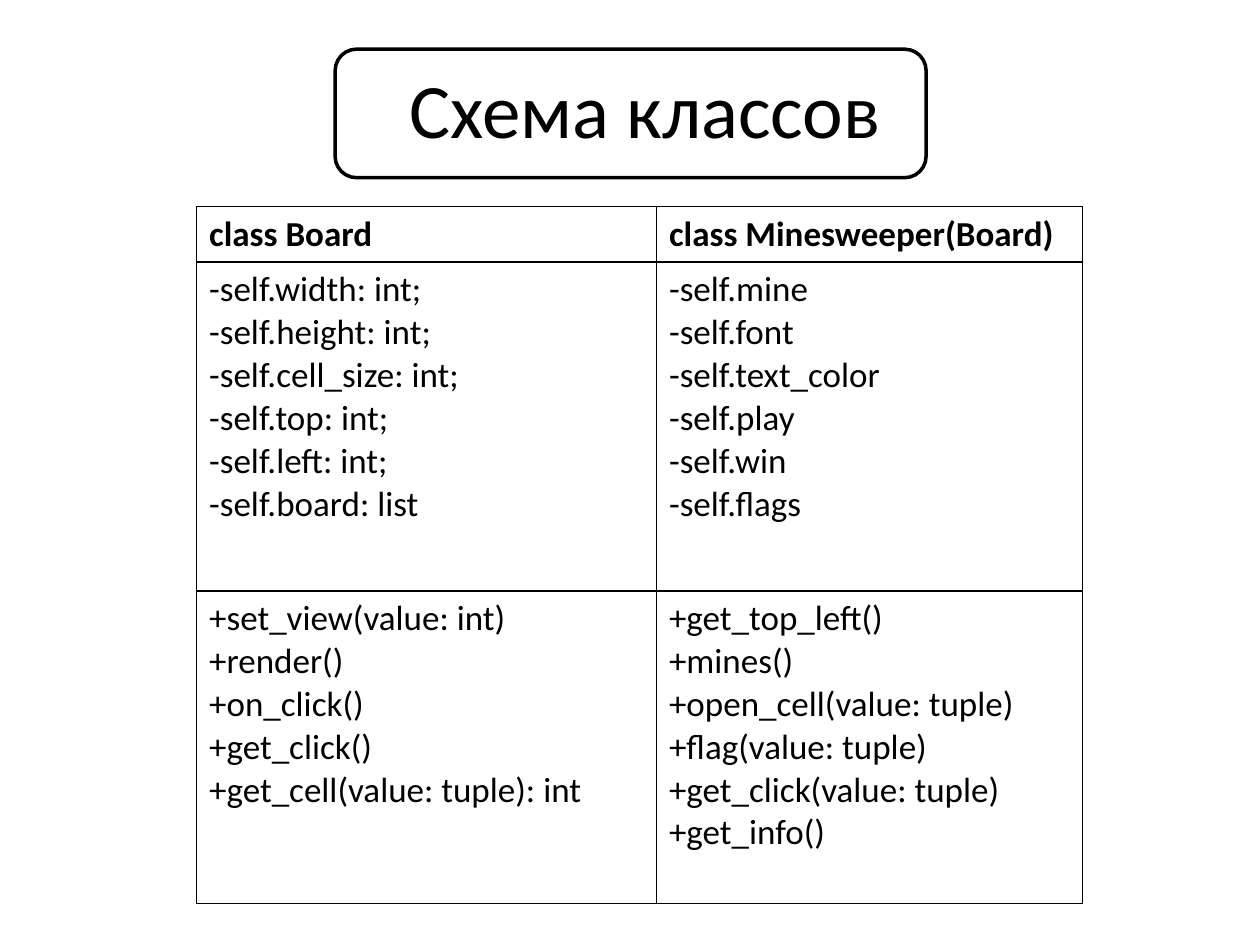
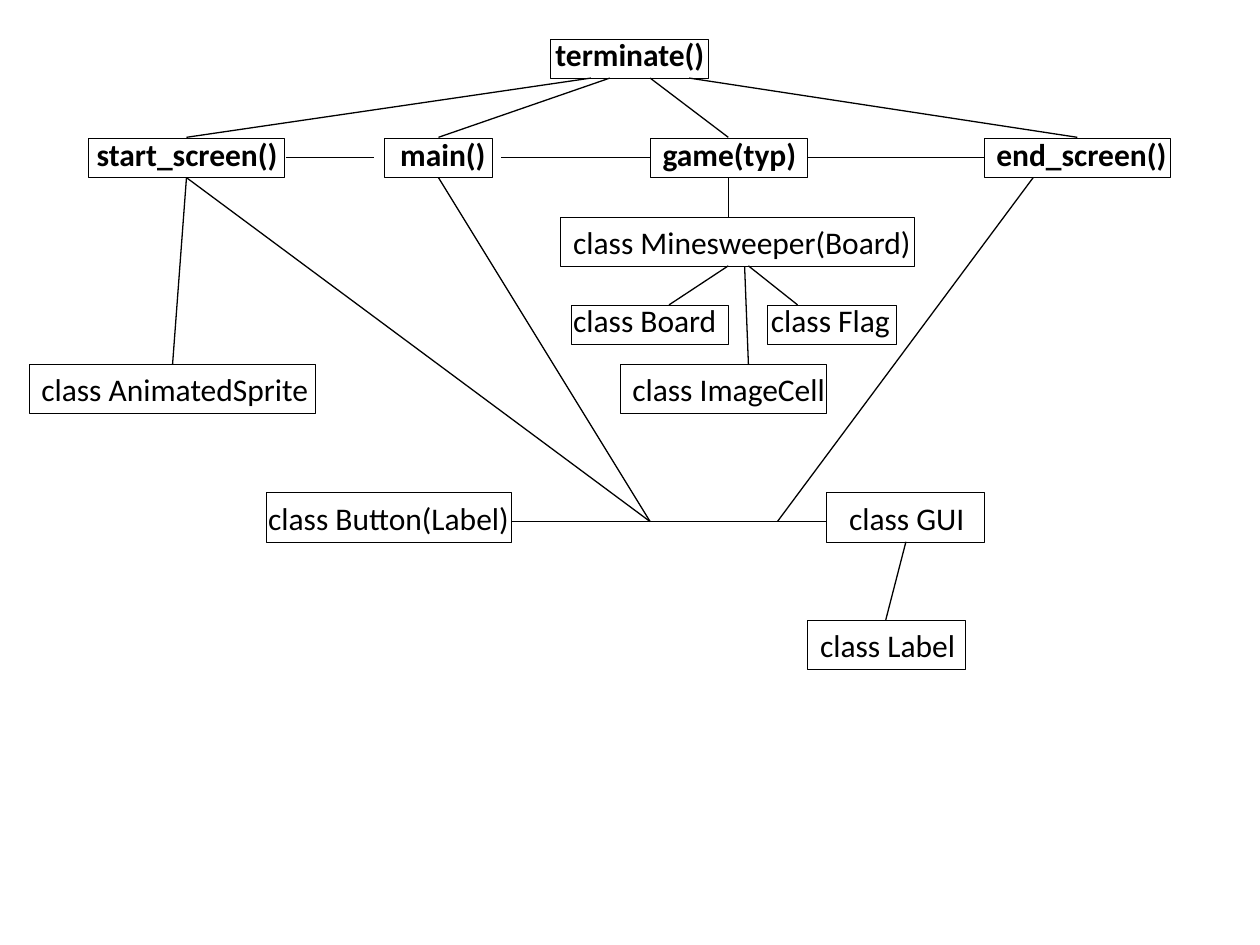
from lxml import etree
from pptx import Presentation
from pptx.dml.color import RGBColor
from pptx.enum.shapes import MSO_CONNECTOR, MSO_SHAPE
from pptx.enum.text import MSO_ANCHOR, MSO_AUTO_SIZE, PP_ALIGN
from pptx.oxml.ns import qn
from pptx.util import Inches, Pt

BLACK = RGBColor(0, 0, 0)
WHITE = RGBColor(255, 255, 255)
FONT = "Calibri"
LEFT, CENTER = PP_ALIGN.LEFT, PP_ALIGN.CENTER
MIDDLE = MSO_ANCHOR.MIDDLE
GROW = MSO_AUTO_SIZE.SHAPE_TO_FIT_TEXT
STRAIGHT = MSO_CONNECTOR.STRAIGHT
RECT, ROUND = MSO_SHAPE.RECTANGLE, MSO_SHAPE.ROUNDED_RECTANGLE

deck = Presentation()
deck.slide_width, deck.slide_height = Inches(10), Inches(7.5)
blank = deck.slide_layouts[6]


def write(frame, text, size, bold=False, align=LEFT):
    frame.text = text
    for para in frame.paragraphs:
        para.alignment = align
        para.font.name = FONT
        para.font.size = Pt(size)
        para.font.bold = bold
        para.font.color.rgb = BLACK


def outline(slide, kind, place, weight):
    shape = slide.shapes.add_shape(kind, *map(Inches, place))
    shape.shadow.inherit = False
    shape.fill.background()
    shape.line.color.rgb = BLACK
    shape.line.width = Pt(weight)
    return shape


slide = deck.slides.add_slide(blank)
badge = outline(slide, ROUND, (2.66, 0.39, 4.69, 1.02), 2)
badge.fill.solid()
badge.fill.fore_color.rgb = WHITE
title = slide.shapes.add_textbox(*map(Inches, (0.62, 0.23, 9, 1.25))).text_frame
title.word_wrap = True
title.vertical_anchor = MIDDLE
write(title, "Схема классов", 44, align=CENTER)

rows = [
    ("class Board", "class Minesweeper(Board)"),
    ("-self.width: int;\n-self.height: int;\n-self.cell_size: int;\n"
     "-self.top: int;\n-self.left: int;\n-self.board: list",
     "-self.mine\n-self.font\n-self.text_color\n-self.play\n-self.win\n-self.flags"),
    ("+set_view(value: int)\n+render()\n+on_click()\v+get_click()\n"
     "+get_cell(value: tuple): int",
     "+get_top_left()\n+mines()\n+open_cell(value: tuple)\n"
     "+flag(value: tuple)\n+get_click(value: tuple)\n+get_info()"),
]
table = slide.shapes.add_table(3, 2, *map(Inches, (1.56, 1.64, 7.03, 5.53))).table
table.first_row = table.horz_banding = False
for col, width in zip(table.columns, (3.65, 3.38)):
    col.width = Inches(width)
for row, height in zip(table.rows, (0.44, 2.61, 2.48)):
    row.height = Inches(height)
for i, texts in enumerate(rows):
    for j, text in enumerate(texts):
        cell = table.cell(i, j)
        write(cell.text_frame, text, 20, bold=i == 0)
        props = cell._tc.get_or_add_tcPr()
        for side in ("a:lnL", "a:lnR", "a:lnT", "a:lnB"):
            edge = etree.SubElement(props, qn(side), w=str(Pt(1)))
            paint = etree.SubElement(edge, qn("a:solidFill"))
            etree.SubElement(paint, qn("a:srgbClr"), val=str(BLACK))
        cell.fill.background()

slide = deck.slides.add_slide(blank)
links = [
    (1.48, 1.09, 4.69, 0.62), (3.48, 1.09, 4.84, 0.62),
    (5.16, 0.62, 5.78, 1.09), (5.47, 0.62, 8.55, 1.09),
    (2.27, 1.25, 2.97, 1.25), (3.98, 1.25, 5.16, 1.25), (6.41, 1.25, 7.81, 1.25),
    (1.48, 1.41, 1.37, 2.89), (1.48, 1.41, 5.16, 4.14),
    (3.48, 1.41, 5.16, 4.14), (8.2, 1.41, 6.17, 4.14),
    (5.78, 1.41, 5.78, 1.72), (5.78, 2.11, 5.31, 2.42),
    (5.94, 2.11, 6.33, 2.42), (5.91, 2.12, 5.94, 2.89),
    (6.56, 4.14, 4.06, 4.14), (7.19, 4.3, 7.03, 4.92),
]
for link in links:
    line = slide.shapes.add_connector(STRAIGHT, *map(Inches, link))
    line.line.color.rgb = BLACK
    line.line.width = Pt(0.75)
    etree.SubElement(line._element.spPr, qn("a:effectLst"))

calls = [
    ("terminate()", CENTER, 0, 0.23, 10, 4.37, 1.25),
    ("start_screen()", CENTER, 0, 1.02, 2.97, 0.7, 1.56),
    ("main()", CENTER, 2.97, 1.02, 1.09, 3.05, 0.86),
    ("game(typ)", LEFT, 5.16, 1.02, 1.41, 5.16, 1.25),
    ("end_screen()", LEFT, 7.81, 1.02, 1.56, 7.81, 1.48),
]
kinds = [
    ("Minesweeper(Board)", 4.45, 1.72, 2.91, 4.45, 2.81),
    ("Board", 4.45, 2.34, 1.35, 4.53, 1.25),
    ("Flag", 6.02, 2.34, 1.16, 6.09, 1.02),
    ("ImageCell", 4.92, 2.89, 1.75, 4.92, 1.64),
    ("AnimatedSprite", 0.23, 2.89, 2.34, 0.23, 2.27),
    ("Button(Label)", 2.03, 3.91, 2.14, 2.11, 1.95),
    ("GUI", 6.64, 3.91, 1.13, 6.56, 1.25),
    ("Label", 6.41, 4.92, 1.29, 6.41, 1.25),
]
nodes = [(True, *call) for call in calls]
nodes += [(False, "class " + name, LEFT, *place) for name, *place in kinds]
for bold, text, align, left, top, width, edge, span in nodes:
    small = bold or top == 2.34
    drop, height = (0.08, 0.31) if small else (0, 0.39)
    outline(slide, RECT, (edge, top + drop, span, height), 0.25)
    label = slide.shapes.add_textbox(*map(Inches, (left, top, width, 0.4))).text_frame
    label.word_wrap = bold
    label.auto_size = GROW
    write(label, text, 18, bold, align)

deck.save("out.pptx")
